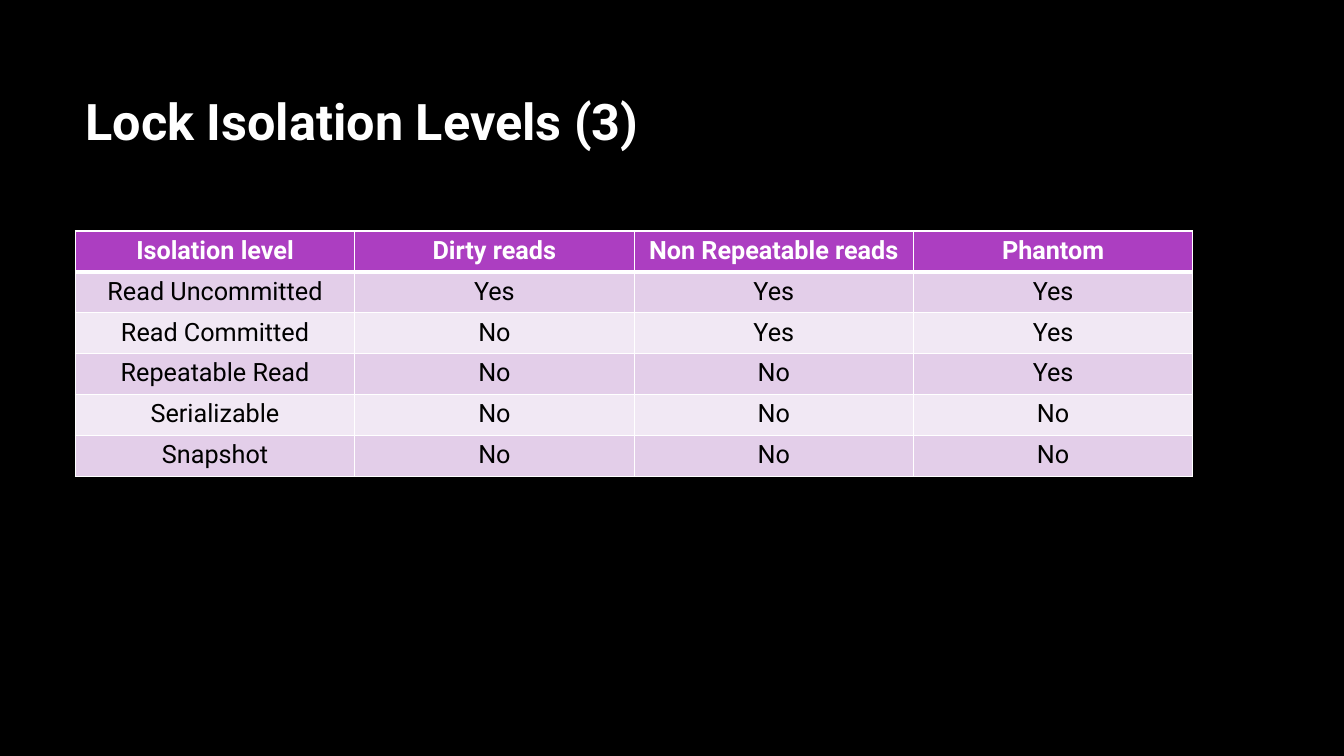
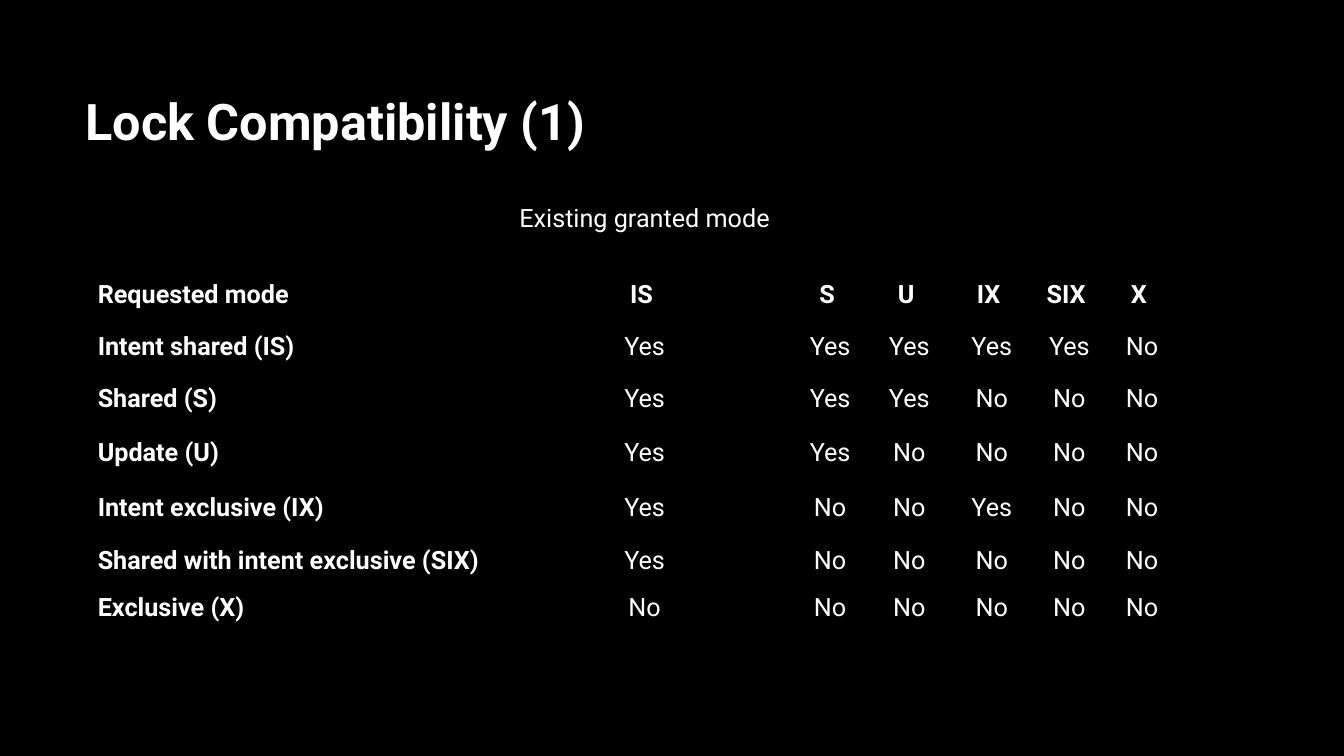
from lxml import etree
from pptx import Presentation
from pptx.dml.color import RGBColor
from pptx.enum.text import MSO_ANCHOR, PP_ALIGN
from pptx.oxml.ns import qn
from pptx.util import Cm, Pt

LEFT, CENTER = PP_ALIGN.LEFT, PP_ALIGN.CENTER
TOP, MIDDLE = MSO_ANCHOR.TOP, MSO_ANCHOR.MIDDLE

BLACK = RGBColor(0x00, 0x00, 0x00)
WHITE = RGBColor(0xFF, 0xFF, 0xFF)
PURPLE = RGBColor(0xAC, 0x3E, 0xC1)
LILAC = RGBColor(0xE3, 0xCE, 0xE9)
PALE_LILAC = RGBColor(0xF1, 0xE8, 0xF4)

FONT = "Roboto"
TITLE_SIZE, TABLE_SIZE = 36, 18
PLAIN_TABLE_STYLE = "{2D5ABB26-0587-4C30-8999-92F81FD0307C}"
TITLE_ONLY = 5

ISOLATION_LEVELS = [
    ["Isolation level", "Dirty reads", "Non Repeatable reads", "Phantom"],
    ["Read Uncommitted", "Yes", "Yes", "Yes"],
    ["Read Committed", "No", "Yes", "Yes"],
    ["Repeatable Read", "No", "No", "Yes"],
    ["Serializable", "No", "No", "No"],
    ["Snapshot", "No", "No", "No"],
]

LOCK_MODES = [
    ["", "Existing granted mode", "", "", "", "", ""],
    ["Requested mode ", "IS ", "S ", "U ", "IX ", "SIX ", "X "],
    ["Intent shared (IS) ", "Yes", "Yes", "Yes", "Yes", "Yes", "No"],
    ["Shared (S) ", "Yes", "Yes", "Yes", "No", "No", "No"],
    ["Update (U) ", "Yes", "Yes", "No", "No", "No", "No"],
    ["Intent exclusive (IX) ", "Yes", "No", "No", "Yes", "No", "No"],
    ["Shared with intent exclusive (SIX) ", "Yes", "No", "No", "No", "No", "No"],
    ["Exclusive (X) ", "No", "No", "No", "No", "No", "No"],
]
MODE_WIDTHS = [10.34, 7.39, 1.96, 2.03, 2.13, 1.78, 1.88]
MODE_HEIGHTS = [2.54, 1.32, 1.3, 1.3, 1.42, 1.37, 1.3, 1.04]


def style_layout(layout):
    layout.background.fill.solid()
    layout.background.fill.fore_color.rgb = BLACK
    title = layout.placeholders[0]
    title.left, title.top = Cm(1.9), Cm(1.7)
    title.width, title.height = Cm(28.14), Cm(2.67)


def format_text(text_frame, size, color, bold, alignment):
    for paragraph in text_frame.paragraphs:
        paragraph.alignment = alignment
        for run in paragraph.runs:
            run.font.name = FONT
            run.font.size = Pt(size)
            run.font.bold = bold
            run.font.color.rgb = color


def add_titled_slide(presentation, layout, title):
    slide = presentation.slides.add_slide(layout)
    text_frame = slide.shapes.title.text_frame
    text_frame.text = title
    text_frame.vertical_anchor = MIDDLE
    format_text(text_frame, TITLE_SIZE, WHITE, True, LEFT)
    return slide


def add_plain_table(slide, rows, left, top, widths, heights):
    shape = slide.shapes.add_table(len(rows), len(widths), Cm(left), Cm(top),
                                   Cm(sum(widths)), Cm(sum(heights)))
    table = shape.table
    table.horz_banding = False
    table.first_row = False
    table._tbl.tblPr.find(qn("a:tableStyleId")).text = PLAIN_TABLE_STYLE
    for column, width in zip(table.columns, widths):
        column.width = Cm(width)
    for row, height in zip(table.rows, heights):
        row.height = Cm(height)
    return table


def fill_cell(cell, text, color, bold, alignment, anchor, fill=None):
    cell.text_frame.text = text
    cell.vertical_anchor = anchor
    format_text(cell.text_frame, TABLE_SIZE, color, bold, alignment)
    if fill is None:
        cell.fill.background()
    else:
        cell.fill.solid()
        cell.fill.fore_color.rgb = fill


def add_borders(cell, widths):
    properties = cell._tc.get_or_add_tcPr()
    for position, (side, width) in enumerate(widths.items()):
        line = etree.Element(qn(f"a:ln{side}"), w=str(Pt(width)))
        solid = etree.SubElement(line, qn("a:solidFill"))
        etree.SubElement(solid, qn("a:srgbClr"), val=str(WHITE))
        properties.insert(position, line)


def add_isolation_table(slide):
    rows = ISOLATION_LEVELS
    table = add_plain_table(slide, rows, 1.9, 5.82, [7.04] * 4, [1.03] * len(rows))
    for row_index, row in enumerate(rows):
        header = row_index == 0
        if header:
            fill, color = PURPLE, WHITE
            borders = {"L": 1, "R": 1, "T": 1, "B": 3}
        else:
            fill, color = (LILAC if row_index % 2 else PALE_LILAC), BLACK
            borders = {"L": 1, "R": 1, "T": 3 if row_index == 1 else 1, "B": 1}
        for column_index, text in enumerate(row):
            cell = table.cell(row_index, column_index)
            fill_cell(cell, text, color, header, CENTER, TOP, fill)
            add_borders(cell, borders)


def add_compatibility_table(slide):
    table = add_plain_table(slide, LOCK_MODES, 2.21, 4.24, MODE_WIDTHS, MODE_HEIGHTS)
    for row_index, row in enumerate(LOCK_MODES):
        for column_index, text in enumerate(row):
            bold = row_index == 1 or column_index == 0
            alignment = CENTER if column_index else LEFT
            fill_cell(table.cell(row_index, column_index), text, WHITE, bold,
                      alignment, MIDDLE)


def main():
    presentation = Presentation()
    presentation.slide_width, presentation.slide_height = Cm(33.87), Cm(19.05)
    layout = presentation.slide_layouts[TITLE_ONLY]
    style_layout(layout)
    add_isolation_table(
        add_titled_slide(presentation, layout, "Lock Isolation Levels (3)"))
    add_compatibility_table(
        add_titled_slide(presentation, layout, "Lock Compatibility (1)"))
    presentation.save("out.pptx")


main()
